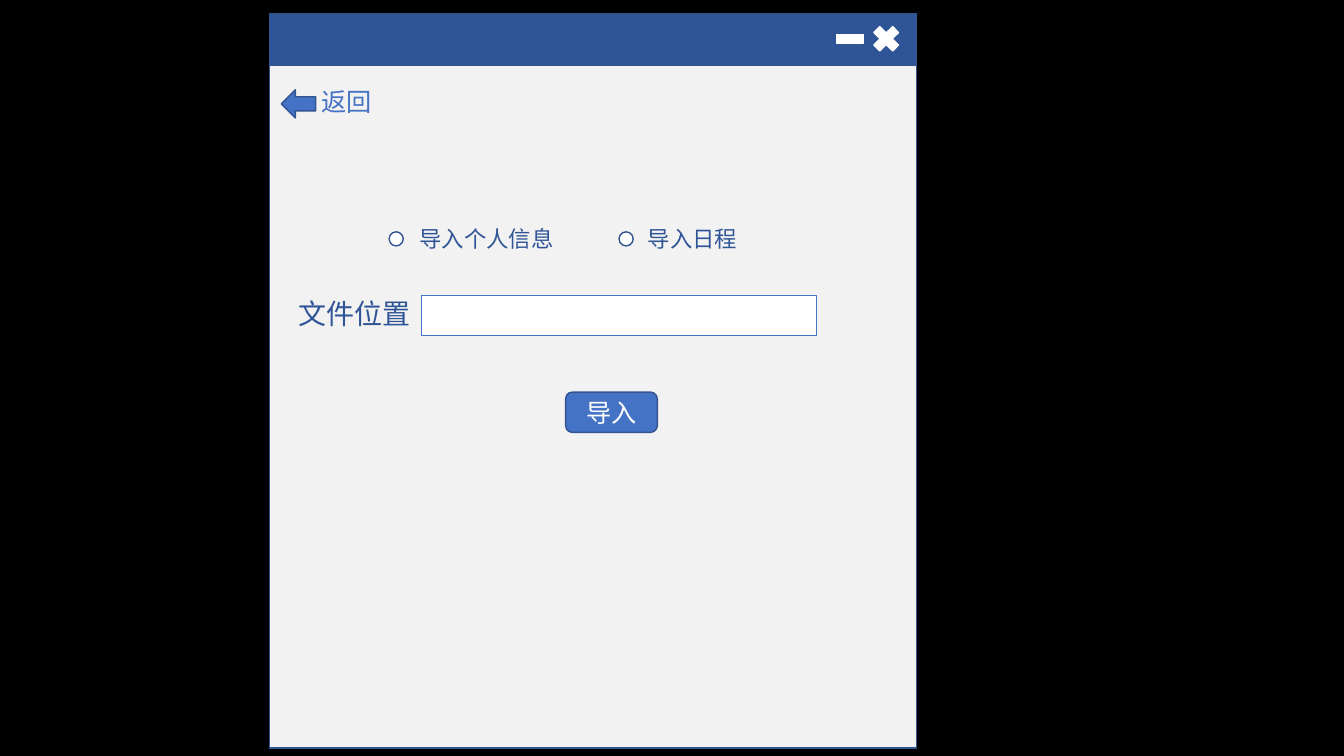
from lxml import etree
from pptx import Presentation
from pptx.dml.color import RGBColor
from pptx.enum.shapes import MSO_SHAPE
from pptx.enum.text import MSO_ANCHOR, MSO_AUTO_SIZE, PP_ALIGN
from pptx.oxml.ns import qn
from pptx.util import Inches, Pt

RECTANGLE = MSO_SHAPE.RECTANGLE
ROUNDED = MSO_SHAPE.ROUNDED_RECTANGLE
OVAL = MSO_SHAPE.OVAL
LEFT_ARROW = MSO_SHAPE.LEFT_ARROW
MINUS = MSO_SHAPE.MATH_MINUS
MULTIPLY = MSO_SHAPE.MATH_MULTIPLY
LEFT, CENTER = PP_ALIGN.LEFT, PP_ALIGN.CENTER
TOP, MIDDLE = MSO_ANCHOR.TOP, MSO_ANCHOR.MIDDLE
FIT_SHAPE = MSO_AUTO_SIZE.SHAPE_TO_FIT_TEXT

FONT = "Noto Sans CJK SC"
COLORS = {
    "backdrop": "000000",
    "window": "F2F2F2",
    "title_bar": "2F5597",
    "outline": "325491",
    "accent": "4472C4",
    "white": "FFFFFF",
}


def color(name):
    return RGBColor.from_string(COLORS[name])


def add_box(page, kind, left, top, width, height, fill, line="outline", weight=1):
    box = page.shapes.add_shape(
        kind, Inches(left), Inches(top), Inches(width), Inches(height))
    box.shadow.inherit = False
    box.fill.solid()
    box.fill.fore_color.rgb = color(fill)
    box.line.color.rgb = color(line)
    box.line.width = Pt(weight)
    return box


def write_text(box, text, size, ink="title_bar", align=CENTER, anchor=TOP, wrap=False):
    frame = box.text_frame
    frame.word_wrap = wrap
    frame.vertical_anchor = anchor
    para = frame.paragraphs[0]
    para.alignment = align
    span = para.add_run()
    span.text = text
    span.font.size = Pt(size)
    span.font.color.rgb = color(ink)
    span.font.name = FONT
    east_asian = etree.SubElement(span._r.get_or_add_rPr(), qn("a:ea"))
    east_asian.set("typeface", FONT)


def add_label(page, text, left, top, width, height, size, **style):
    label = page.shapes.add_textbox(
        Inches(left), Inches(top), Inches(width), Inches(height))
    write_text(label, text, size, **style)
    label.text_frame.auto_size = FIT_SHAPE


def add_window(page, left, top, width, height):
    add_box(page, RECTANGLE, left, top, width, height, "window")
    add_box(page, RECTANGLE, left, top, width, 0.51, "title_bar")
    icon_width = 0.36
    for slot, icon in enumerate((MULTIPLY, MINUS)):
        add_box(page, icon, left + 5.94 - slot * icon_width, top + 0.07,
                icon_width, 0.35, "white", "white")


def add_back_link(page, left, top):
    add_label(page, "返回", left + 0.3, top, 1.64, 0.4, 18,
              ink="accent", align=LEFT, wrap=True)
    add_box(page, LEFT_ARROW, left, top + 0.08, 0.34, 0.28, "accent")


def add_option(page, text, left, top, width):
    add_box(page, OVAL, left, top + 0.12, 0.14, 0.14, "white")
    add_label(page, text, left + 0.18, top, width, 0.37, 16)


def add_file_field(page, left, top):
    add_box(page, RECTANGLE, left + 1.32, top + 0.04, 3.92, 0.4,
            "white", "accent", 0.75)
    add_label(page, "文件位置", left, top, 1.32, 0.44, 20)


def add_import_button(page, left, top, width, height):
    button = add_box(page, ROUNDED, left, top, width, height, "accent")
    write_text(button, "导入", 18, ink="white", anchor=MIDDLE, wrap=True)


def add_import_page(deck):
    page = deck.slides.add_slide(deck.slide_layouts[6])
    page.background.fill.solid()
    page.background.fill.fore_color.rgb = color("backdrop")
    left, top = 2.67, 0.14
    add_window(page, left, top, 6.42, 7.28)
    add_option(page, "导入个人信息", left + 1.19, top + 2.04, 1.57)
    add_option(page, "导入日程", left + 3.47, top + 2.04, 1.1)
    add_file_field(page, left + 0.19, top + 2.75)
    add_import_button(page, left + 2.94, top + 3.75, 0.91, 0.4)
    add_back_link(page, left + 0.12, top + 0.67)


def main():
    deck = Presentation()
    deck.slide_width = Inches(13.33)
    deck.slide_height = Inches(7.5)
    add_import_page(deck)
    deck.save("out.pptx")


if __name__ == "__main__":
    main()
